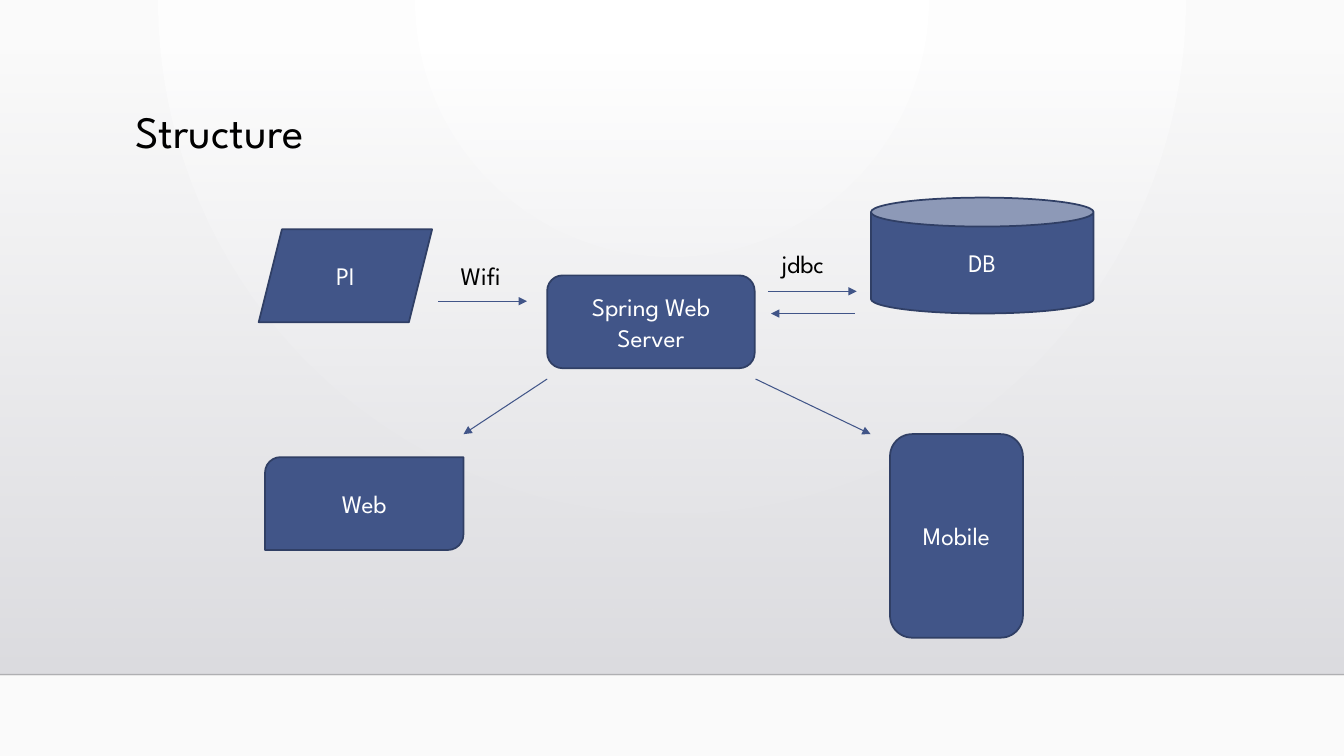
"""Builds the system structure slide: a web server linked to its device, database and clients."""
import pptx
import pptx.util
import pptx.dml.color
import pptx.enum.shapes
import pptx.enum.text
import pptx.oxml
import pptx.oxml.ns
import lxml.etree

Cm, Pt = pptx.util.Cm, pptx.util.Pt
SHAPE = pptx.enum.shapes.MSO_SHAPE
ALIGN = pptx.enum.text.PP_ALIGN
ANCHOR = pptx.enum.text.MSO_ANCHOR
qn = pptx.oxml.ns.qn

FONT = "League Spartan"
COLORS = {
    "node": "415588", "edge": "303F65", "light": "FFFFFF", "text": "000000",
    "center": "FFFFFF", "outer": "FAFAFA",
    "shade_top": "DCDCE0", "shade_bottom": "DEDEE2", "floor": "000001",
}
TITLE = ("Structure", (3.15, 2.64, 26.67, 2.92))
BACKDROP = (0, 1.3, 33.87, 15.7)
FLOOR = (0, 17, 33.87, 17)
NODES = [
    ("Spring Web Server", SHAPE.ROUNDED_RECTANGLE, (13.79, 6.94, 5.23, 2.34)),
    ("PI", SHAPE.PARALLELOGRAM, (6.52, 5.78, 4.37, 2.34)),
    ("DB", SHAPE.CAN, (21.95, 4.98, 5.61, 2.92)),
    ("Web", SHAPE.ROUND_2_DIAG_RECTANGLE, (6.68, 11.52, 5, 2.34)),
    ("Mobile", SHAPE.ROUNDED_RECTANGLE, (22.43, 10.94, 3.35, 5.13)),
]
ARROWS = [
    (11.05, 7.59, 13.28, 7.59),
    (19.35, 7.34, 21.59, 7.34),
    (21.54, 7.9, 19.43, 7.9),
    (13.79, 9.55, 11.68, 10.94),
    (19.04, 9.55, 21.94, 10.94),
]
LABELS = [
    ("Wifi", (11.36, 6.43, 1.93, 1.02)),
    ("jdbc", (19.44, 6.13, 1.93, 1.02)),
]


def rgb(name):
    return pptx.dml.color.RGBColor.from_string(COLORS[name])


def cm(values):
    return [Cm(v) for v in values]


def set_gradient(fill, names):
    fill.gradient()
    for stop, name, position in zip(fill.gradient_stops, names, (0, 1)):
        stop.color.rgb = rgb(name)
        stop.position = position


def set_alpha(color, percent):
    alpha = lxml.etree.SubElement(color, qn("a:alpha"))
    alpha.set("val", str(percent * 1000))


def set_text(sp, text, size, color, align=ALIGN.LEFT):
    tf = sp.text_frame
    tf.word_wrap = True
    tf.text = text
    p = tf.paragraphs[0]
    p.alignment = align
    p.font.name, p.font.size = FONT, Pt(size)
    p.font.color.rgb = rgb(color)
    return tf


def add_line(shapes, points, color, width):
    line = shapes.add_connector(pptx.enum.shapes.MSO_CONNECTOR.STRAIGHT, *cm(points))
    line.line.color.rgb = rgb(color)
    line.line.width = Pt(width)
    lxml.etree.SubElement(line.element.spPr, qn("a:effectLst"))
    return line


def add_background(slide):
    set_gradient(slide.background.fill, ("center", "outer"))
    lin = next(slide.element.iter(qn("a:lin")))
    radial = lxml.etree.Element(qn("a:path"))
    radial.set("path", "circle")
    rect = lxml.etree.SubElement(radial, qn("a:fillToRect"))
    for side, value in (("l", 43000), ("t", 0), ("r", 43000), ("b", 100000)):
        rect.set(side, str(value))
    lin.getparent().replace(lin, radial)


def add_backdrop(shapes):
    sp = shapes.add_shape(SHAPE.RECTANGLE, *cm(BACKDROP))
    sp.shadow.inherit = False
    sp.line.fill.background()
    set_gradient(sp.fill, ("shade_top", "shade_bottom"))
    sp.fill.gradient_angle = 270
    set_alpha(next(sp.element.spPr.iter(qn("a:srgbClr"))), 0)
    floor = add_line(shapes, FLOOR, "floor", 1)
    set_alpha(next(floor.element.spPr.iter(qn("a:srgbClr"))), 20)


def add_title(shapes):
    text, box = TITLE
    title = shapes.title
    title.left, title.top, title.width, title.height = cm(box)
    tf = set_text(title, text, 32, "text")
    tf.vertical_anchor = ANCHOR.TOP
    tf.paragraphs[0].line_spacing = 0.9
    title.element.getparent().append(title.element)


def main():
    prs = pptx.Presentation()
    prs.slide_width, prs.slide_height = Cm(33.87), Cm(19.05)
    slide = prs.slides.add_slide(prs.slide_layouts[5])
    shapes = slide.shapes
    add_background(slide)
    add_backdrop(shapes)
    add_title(shapes)

    for text, kind, box in NODES:
        sp = shapes.add_shape(kind, *cm(box))
        sp.shadow.inherit = False
        sp.fill.solid()
        sp.fill.fore_color.rgb = rgb("node")
        sp.line.color.rgb = rgb("edge")
        sp.line.width = Pt(1.25)
        tf = set_text(sp, text, 18, "light", ALIGN.CENTER)
        tf.vertical_anchor = ANCHOR.MIDDLE

    for points in ARROWS:
        arrow = add_line(shapes, points, "node", 0.75)
        tail = lxml.etree.SubElement(arrow.element.spPr.find(qn("a:ln")), qn("a:tailEnd"))
        tail.set("type", "triangle")

    for text, box in LABELS:
        tf = set_text(shapes.add_textbox(*cm(box)), text, 18, "text")
        tf.auto_size = pptx.enum.text.MSO_AUTO_SIZE.SHAPE_TO_FIT_TEXT

    prs.save("out.pptx")


if __name__ == "__main__":
    main()
